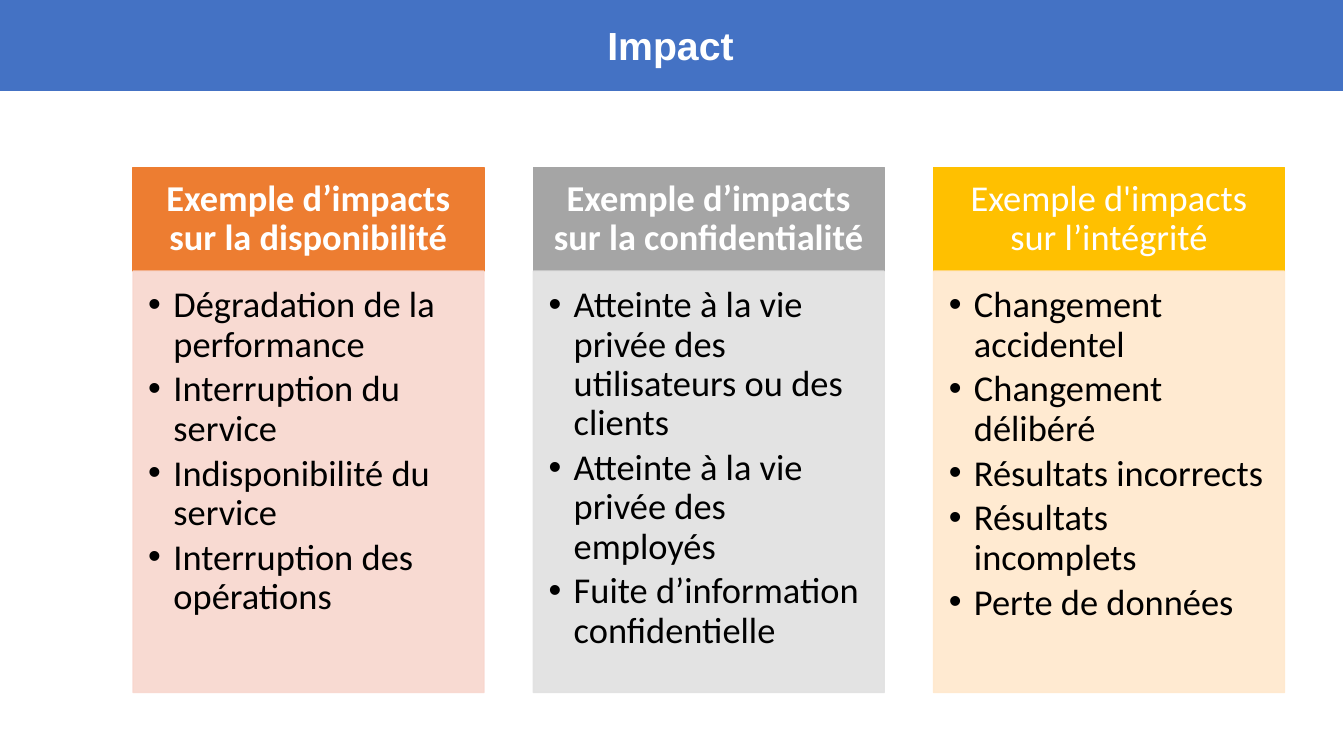
from lxml import etree
from pptx import Presentation
from pptx.dml.color import RGBColor
from pptx.enum.shapes import MSO_SHAPE
from pptx.enum.text import MSO_ANCHOR, PP_ALIGN
from pptx.oxml.ns import qn
from pptx.util import Pt

RECTANGLE = MSO_SHAPE.RECTANGLE
MIDDLE, TOP = MSO_ANCHOR.MIDDLE, MSO_ANCHOR.TOP
CENTER, LEFT = PP_ALIGN.CENTER, PP_ALIGN.LEFT

EMU_PER_PX = 9144
SLIDE_WIDTH, SLIDE_HEIGHT = 1333, 750
COLUMN_LEFT, COLUMN_STEP, COLUMN_WIDTH = 132, 397, 348
HEADER_TOP, HEADER_HEIGHT, BODY_HEIGHT = 166, 103, 418
BULLET_INDENT = 25

WHITE = RGBColor(0xFF, 0xFF, 0xFF)
BLACK = RGBColor(0x00, 0x00, 0x00)
BLUE = RGBColor(0x44, 0x72, 0xC4)
ORANGE = RGBColor(0xED, 0x7D, 0x31)
GRAY = RGBColor(0xA5, 0xA5, 0xA5)
GOLD = RGBColor(0xFF, 0xC0, 0x00)
PALE_ORANGE = RGBColor(0xF8, 0xD7, 0xCE)
PALE_GRAY = RGBColor(0xE1, 0xE1, 0xE1)
PALE_GOLD = RGBColor(0xFF, 0xE8, 0xCC)

TITLE_FONT = {"name": "Arial", "size": Pt(28), "bold": True}
COLUMN_FONT = {"name": "Calibri", "size": Pt(26), "bold": False}
HEADER_FONT = {**COLUMN_FONT, "bold": True}

COLUMNS = [
    ("Exemple d’impacts sur la disponibilité", HEADER_FONT, ORANGE, PALE_ORANGE, [
        "Dégradation de la performance",
        "Interruption du service",
        "Indisponibilité du service",
        "Interruption des opérations",
    ]),
    ("Exemple d’impacts sur la confidentialité", HEADER_FONT, GRAY, PALE_GRAY, [
        "Atteinte à la vie privée des utilisateurs ou des clients",
        "Atteinte à la vie privée des employés",
        "Fuite d’information confidentielle",
    ]),
    ("Exemple d'impacts sur l’intégrité", COLUMN_FONT, GOLD, PALE_GOLD, [
        "Changement accidentel",
        "Changement délibéré",
        "Résultats incorrects",
        "Résultats incomplets",
        "Perte de données",
    ]),
]


def px(length):
    return length * EMU_PER_PX


def set_attributes(target, values):
    for name, value in values.items():
        setattr(target, name, value)


def add_box(slide, bounds, fill_color, line_color, line_width):
    shape = slide.shapes.add_shape(RECTANGLE, *map(px, bounds))
    shape.shadow.inherit = False
    shape.fill.solid()
    shape.fill.fore_color.rgb = fill_color
    shape.line.color.rgb = line_color
    shape.line.width = Pt(line_width)
    return shape


def set_opacity(shape, percent):
    for color in shape._element.spPr.iter(qn("a:srgbClr")):
        etree.SubElement(color, qn("a:alpha"), val=str(percent * 1000))


def add_bullet(paragraph):
    properties = paragraph._p.get_or_add_pPr()
    properties.set("marL", str(px(BULLET_INDENT)))
    properties.set("indent", str(-px(BULLET_INDENT)))
    etree.SubElement(properties, qn("a:buFont"), typeface="Arial")
    etree.SubElement(properties, qn("a:buChar"), char="•")


def write_text(shape, lines, font, color, margins, anchor, paragraph_format, bulleted=False):
    frame = shape.text_frame
    sides = ("margin_left", "margin_top", "margin_right", "margin_bottom")
    set_attributes(frame, dict(zip(sides, map(px, margins))))
    set_attributes(frame, {"word_wrap": True, "vertical_anchor": anchor})
    frame.text = "\n".join(lines)
    for paragraph in frame.paragraphs:
        set_attributes(paragraph, paragraph_format)
        if bulleted:
            add_bullet(paragraph)
        for run in paragraph.runs:
            set_attributes(run.font, font)
            run.font.color.rgb = color


def add_title(slide, title):
    banner = add_box(slide, (-3, -3, 1336, 94), BLUE, WHITE, 1.5)
    write_text(banner, [title], TITLE_FONT, WHITE, (10, 5, 10, 5), MIDDLE,
               {"alignment": CENTER})


def add_column(slide, left, heading, heading_font, color, pale_color, impacts):
    header = add_box(slide, (left, HEADER_TOP, COLUMN_WIDTH, HEADER_HEIGHT), color, color, 1)
    write_text(header, [heading], heading_font, WHITE, (20, 12, 20, 12), MIDDLE,
               {"alignment": CENTER, "line_spacing": 0.9})
    body_top = HEADER_TOP + HEADER_HEIGHT
    body = add_box(slide, (left, body_top, COLUMN_WIDTH, BODY_HEIGHT), pale_color, pale_color, 1)
    set_opacity(body, 90)
    write_text(body, impacts, COLUMN_FONT, BLACK, (15, 15, 20, 23), TOP,
               {"alignment": LEFT, "line_spacing": 0.9, "space_after": Pt(4)}, bulleted=True)


def main():
    presentation = Presentation()
    presentation.slide_width = px(SLIDE_WIDTH)
    presentation.slide_height = px(SLIDE_HEIGHT)
    slide = presentation.slides.add_slide(presentation.slide_layouts[6])
    add_title(slide, "Impact")
    for index, column in enumerate(COLUMNS):
        add_column(slide, COLUMN_LEFT + index * COLUMN_STEP, *column)
    presentation.save("out.pptx")


if __name__ == "__main__":
    main()
